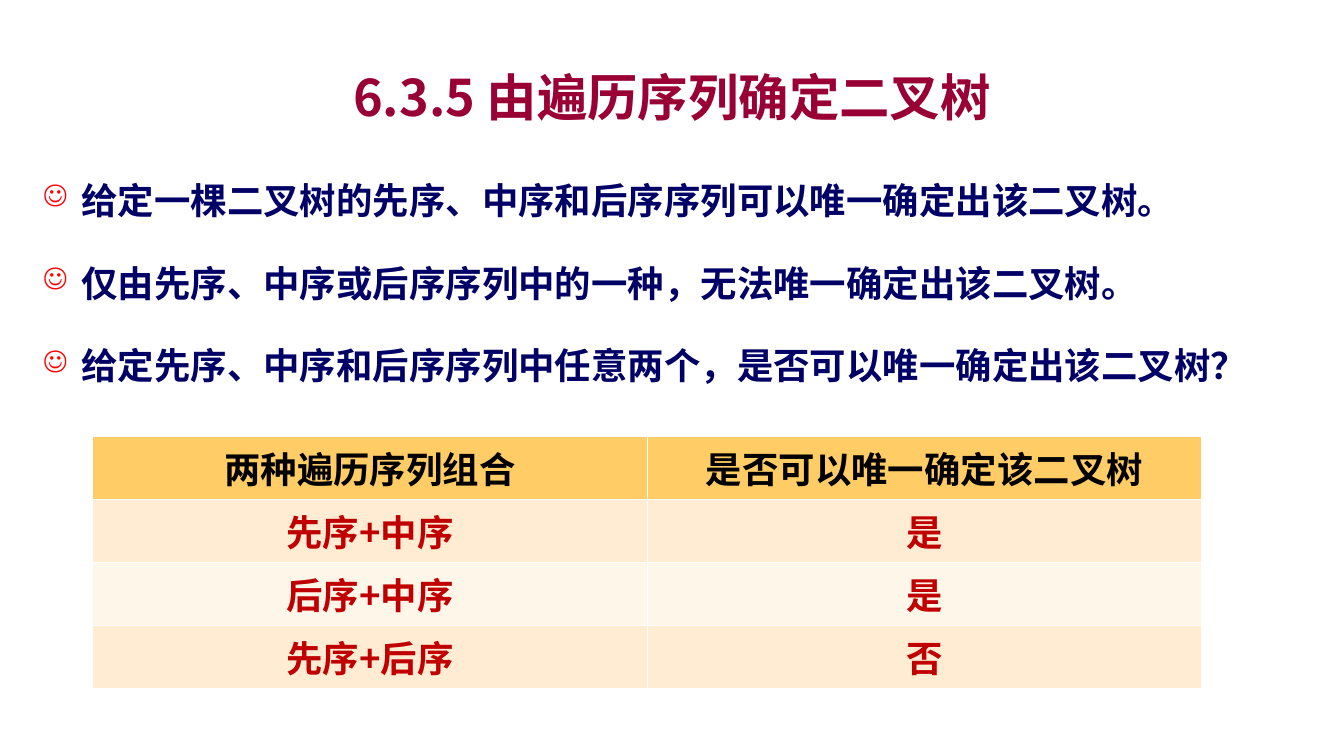
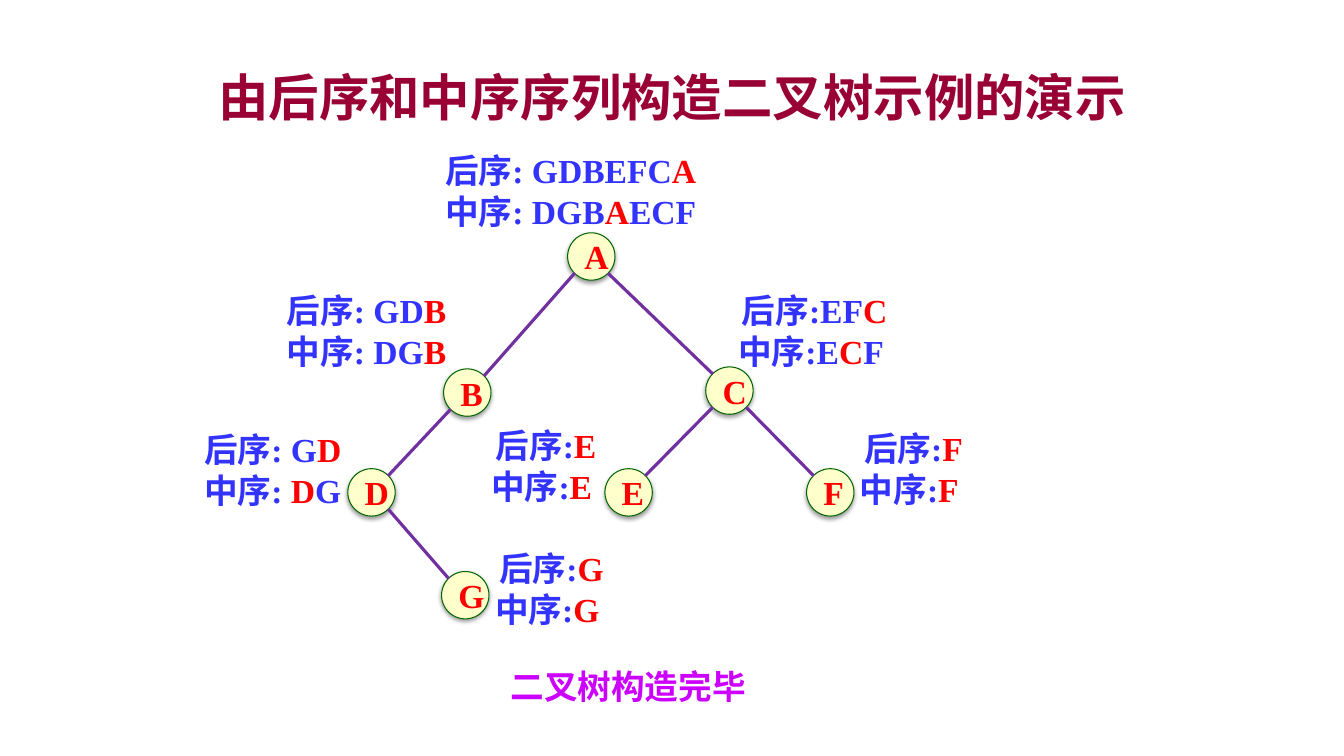
"""Build two slides on rebuilding binary trees from traversal sequences."""
import pptx
import pptx.util
import pptx.dml.color
import pptx.enum.shapes
import pptx.enum.text
import pptx.oxml
import pptx.oxml.ns

Inches = pptx.util.Inches
Pt = pptx.util.Pt
RGB = pptx.dml.color.RGBColor
MID = pptx.enum.text.MSO_ANCHOR.MIDDLE
CENTER = pptx.enum.text.PP_ALIGN.CENTER

WINE = RGB(0x99, 0x00, 0x33)
NAVY = RGB(0x00, 0x00, 0x66)
BLUE = RGB(0x33, 0x33, 0xFF)
RED = RGB(0xFF, 0x00, 0x00)
BRICK = RGB(0xC0, 0x00, 0x00)
PINK = RGB(0xCC, 0x00, 0xFF)
BLACK = RGB(0x00, 0x00, 0x00)
GOLD = RGB(0xFF, 0xCC, 0x66)
PEACH = RGB(0xFF, 0xEC, 0xD3)
CREAM = RGB(0xFF, 0xF6, 0xEA)
YELLOW = RGB(0xFF, 0xFF, 0xCC)
GREEN = RGB(0x00, 0x66, 0x00)
PURPLE = RGB(0x70, 0x30, 0xA0)

SANS = "Noto Sans CJK SC"
SERIF = "Times New Roman"
NS = pptx.oxml.ns.nsdecls("a")
BULLET = (
    f'<a:buClr {NS}><a:srgbClr val="FF0000"/></a:buClr>',
    f'<a:buSzPct {NS} val="80000"/>',
    f'<a:buChar {NS} char="☺"/>',
)
SHADOW = (
    f'<a:effectLst {NS}><a:outerShdw blurRad="39370" dist="20320" dir="5400000" rotWithShape="0">'
    '<a:srgbClr val="000000"><a:alpha val="38000"/></a:srgbClr></a:outerShdw></a:effectLst>'
)


def write(para, text, size, color, face=SANS):
    run = para.add_run()
    run.text = text
    run.font.size = Pt(size)
    run.font.bold = True
    run.font.color.rgb = color
    run.font.name = face
    east = pptx.oxml.parse_xml(f'<a:ea {NS} typeface="{SANS}"/>')
    run.font._element.find(pptx.oxml.ns.qn("a:latin")).addnext(east)


def start(text):
    slide = deck.slides.add_slide(deck.slide_layouts[5])
    title = slide.shapes.title
    title.left, title.top = Inches(1), Inches(0.58)
    title.width, title.height = Inches(11.33), Inches(0.75)
    title.text_frame.vertical_anchor = MID
    para = title.text_frame.paragraphs[0]
    para.alignment = CENTER
    write(para, text, 36, WINE)
    return slide


deck = pptx.Presentation()
deck.slide_width, deck.slide_height = Inches(13.33), Inches(7.5)

slide = start("6.3.5 由遍历序列确定二叉树")
points = (
    "给定一棵二叉树的先序、中序和后序序列可以唯一确定出该二叉树。",
    "仅由先序、中序或后序序列中的一种，无法唯一确定出该二叉树。",
    "给定先序、中序和后序序列中任意两个，是否可以唯一确定出该二叉树？",
)
box = slide.shapes.add_textbox(Inches(0.33), Inches(1.5), Inches(12.56), Inches(2.5))
frame = box.text_frame
frame.word_wrap = True
for row, text in enumerate(points):
    para = frame.paragraphs[0] if row == 0 else frame.add_paragraph()
    props = para._p.get_or_add_pPr()
    props.set("marL", str(Inches(0.38)))
    props.set("indent", str(-Inches(0.38)))
    for mark in BULLET:
        props.append(pptx.oxml.parse_xml(mark))
    para.line_spacing = Pt(47)
    para.space_after = Pt(12)
    write(para, text, 26, NAVY)

rows = (
    ("两种遍历序列组合", "是否可以唯一确定该二叉树"),
    ("先序+中序", "是"),
    ("后序+中序", "是"),
    ("先序+后序", "否"),
)
grid = slide.shapes.add_table(4, 2, Inches(0.92), Inches(4.33), Inches(11), Inches(2.5)).table
for row, texts in enumerate(rows):
    for col, text in enumerate(texts):
        cell = grid.cell(row, col)
        cell.fill.solid()
        cell.fill.fore_color.rgb = GOLD if row == 0 else PEACH if row % 2 else CREAM
        cell.vertical_anchor = MID
        cell.margin_left = cell.margin_right = Inches(0.08)
        cell.margin_top = cell.margin_bottom = Inches(0.04)
        para = cell.text_frame.paragraphs[0]
        para.alignment = CENTER
        write(para, text, 26, BRICK if row else BLACK)

slide = start("由后序和中序序列构造二叉树示例的演示")
box = slide.shapes.add_textbox(Inches(4.93), Inches(6.56), Inches(2.6), Inches(0.5))
box.text_frame.word_wrap = True
box.text_frame.vertical_anchor = MID
para = box.text_frame.paragraphs[0]
para.alignment = CENTER
write(para, "二叉树构造完毕", 24, PINK)

SIZE = 0.47
nodes = {
    "A": (5.63, 2.31),
    "B": (4.4, 3.66),
    "C": (7, 3.64),
    "D": (3.45, 4.65),
    "E": (6, 4.65),
    "F": (8, 4.65),
    "G": (4.38, 5.67),
}
labels = (
    ("A", 4.15, 1.44, 3.02, "后序: GDBEFCA", "中序: DGBAECF"),
    ("B", 2.6, 2.83, 2.07, "后序: GDB", "中序: DGB"),
    ("C", 7.1, 2.83, 1.96, "后序:EFC", "中序:ECF "),
    ("E", 4.66, 4.17, 1.51, "后序:E", "中序:E "),
    ("F", 8.22, 4.2, 1.68, "后序:F", "中序:F "),
    ("D", 1.67, 4.21, 2.07, "后序: GD", "中序: DG"),
    ("G", 4.66, 5.39, 1.62, "后序:G", "中序:G "),
)
for root, left, top, width, *lines in labels:
    box = slide.shapes.add_textbox(Inches(left), Inches(top), Inches(width), Inches(0.91))
    frame = box.text_frame
    frame.word_wrap = True
    for row, line in enumerate(lines):
        para = frame.paragraphs[0] if row == 0 else frame.add_paragraph()
        para.alignment = CENTER
        para.line_spacing = Pt(28.8)
        for part in line.partition(root):
            if part:
                write(para, part, 24, RED if part == root else BLUE, SERIF)

for name, (left, top) in nodes.items():
    node = slide.shapes.add_shape(
        pptx.enum.shapes.MSO_SHAPE.OVAL, Inches(left), Inches(top), Inches(SIZE), Inches(SIZE))
    node.fill.solid()
    node.fill.fore_color.rgb = YELLOW
    node.line.color.rgb = GREEN
    node.line.width = Pt(0.75)
    node._element.spPr.append(pptx.oxml.parse_xml(SHADOW))
    node.text_frame.vertical_anchor = MID
    para = node.text_frame.paragraphs[0]
    para.alignment = CENTER
    write(para, name, 24, RED, SERIF)

NEAR, FAR = 0.07, 0.4
for upper, lower in ("AB", "AC", "BD", "DG", "CE", "CF"):
    (left, top), (end, base) = nodes[upper], nodes[lower]
    out, into = (NEAR, FAR) if end < left else (FAR, NEAR)
    edge = slide.shapes.add_connector(
        pptx.enum.shapes.MSO_CONNECTOR.STRAIGHT,
        Inches(left + out), Inches(top + FAR), Inches(end + into), Inches(base + NEAR))
    edge.line.color.rgb = PURPLE
    edge.line.width = Pt(2.25)
    edge._element.spPr.append(pptx.oxml.parse_xml(f"<a:effectLst {NS}/>"))

deck.save("out.pptx")
